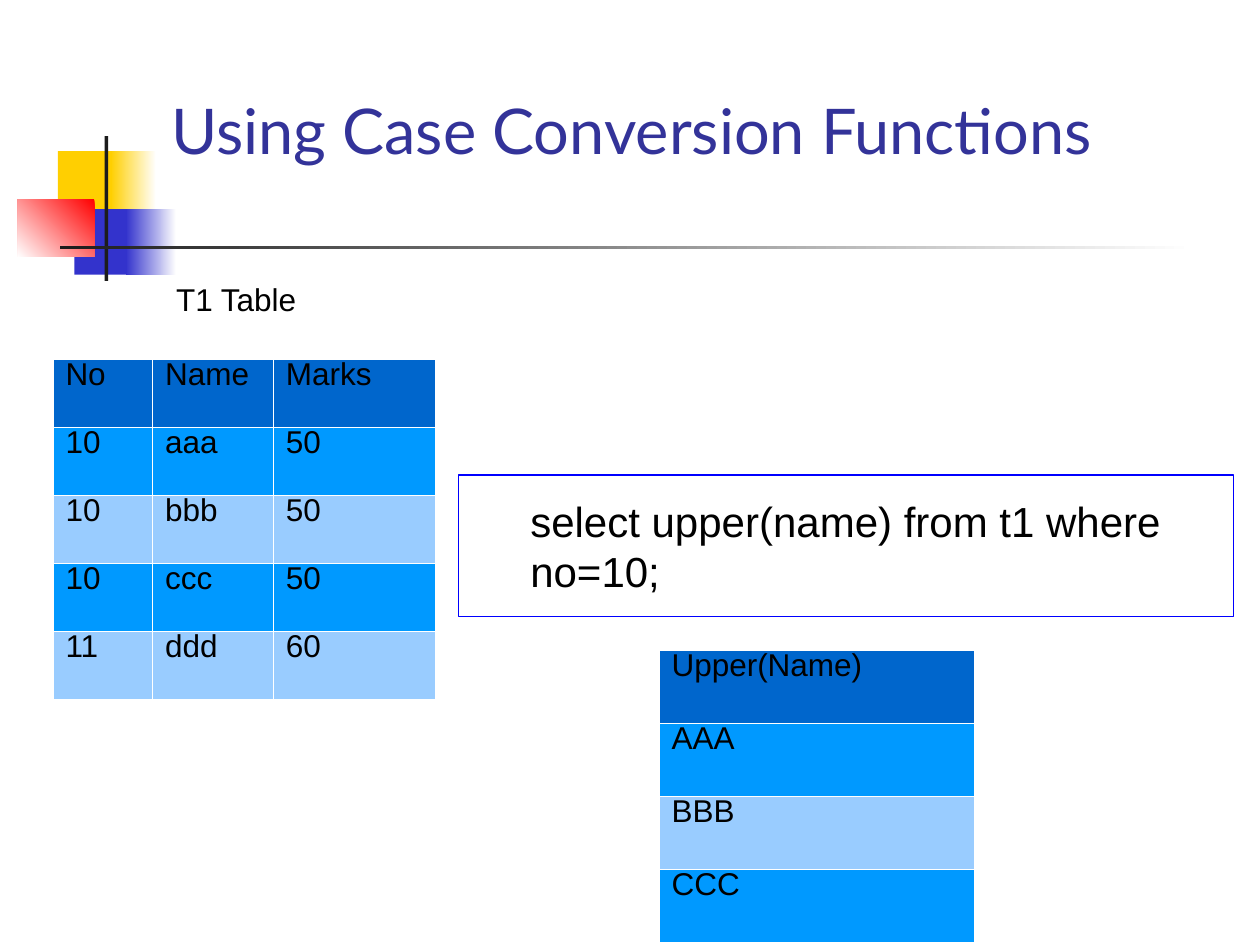
from lxml import etree
from pptx import Presentation
from pptx.dml.color import RGBColor
from pptx.enum.shapes import MSO_SHAPE
from pptx.enum.text import MSO_ANCHOR, PP_ALIGN
from pptx.oxml.ns import qn
from pptx.util import Emu, Pt

RECT, ROUNDED = MSO_SHAPE.RECTANGLE, MSO_SHAPE.ROUNDED_RECTANGLE
LEFT, CENTER, MIDDLE = PP_ALIGN.LEFT, PP_ALIGN.CENTER, MSO_ANCHOR.MIDDLE
EMU_PER_PX = 9144  # 100 px to the inch
COLORS = {
    "white": "FFFFFF", "black": "000000", "ink": "1C1C1C", "title": "333399",
    "yellow": "FFCF01", "blue": "3333CC", "red": "FF0000", "frame": "0000FF",
    "header": "0066CC", "odd": "0099FF", "even": "99CCFF",
}


def px(n):
    return Emu(n * EMU_PER_PX)


def rgb(name):
    return RGBColor.from_string(COLORS[name])


class Deck:
    def __init__(self, width, height):
        self.prs = Presentation()
        self.prs.slide_width, self.prs.slide_height = px(width), px(height)
        self.s = self.prs.slides.add_slide(self.prs.slide_layouts[5])

    def add_text(self, p, text, size, font="Arial", color="black", align=LEFT):
        p.alignment = align
        r = p.add_run()
        r.text = text
        r.font.size, r.font.name = Pt(size), font
        r.font.color.rgb = rgb(color)

    def title(self, box, text):
        sp = self.s.shapes.title
        sp.left, sp.top, sp.width, sp.height = map(px, box)
        tf = sp.text_frame
        tf.vertical_anchor = MIDDLE
        self.add_text(tf.paragraphs[0], text, 36, "Lato", "title")

    def shape(self, kind, box, fill):
        sp = self.s.shapes.add_shape(kind, *map(px, box))
        sp.shadow.inherit = False
        sp.fill.solid()
        sp.fill.fore_color.rgb = rgb(fill)
        sp.line.fill.background()
        return sp

    def fade(self, box, start, end, angle):
        """Rectangle with a two-colour gradient; angle is counter-clockwise."""
        sp = self.shape(RECT, box, start)
        sp.fill.gradient()
        sp.fill.gradient_angle = angle
        for stop, color, pos in zip(sp.fill.gradient_stops, (start, end), (0, 1)):
            stop.color.rgb = rgb(color)
            stop.position = pos

    def label(self, box, text, size, line, corner, align=LEFT, indent=0):
        sp = self.shape(ROUNDED, box, "white")
        sp.adjustments[0] = corner
        sp.line.color.rgb = rgb(line)
        sp.line.width = Pt(0.75)
        tf = sp.text_frame
        tf.word_wrap, tf.vertical_anchor = True, MIDDLE
        p = tf.paragraphs[0]
        p._p.get_or_add_pPr().set("marL", str(px(indent)))
        self.add_text(p, text, size, align=align)

    def borders(self, cell):
        tcPr = cell._tc.get_or_add_tcPr()
        for i, side in enumerate(("lnL", "lnR", "lnT", "lnB")):
            ln = etree.Element(qn("a:" + side), w=str(Pt(0.06)))
            fill = etree.SubElement(ln, qn("a:solidFill"))
            etree.SubElement(fill, qn("a:srgbClr"), val=COLORS["white"])
            tcPr.insert(i, ln)

    def table(self, left, top, widths, row_height, rows):
        box = left, top, sum(widths), row_height * len(rows)
        table = self.s.shapes.add_table(len(rows), len(widths), *map(px, box)).table
        for column, width in zip(table.columns, widths):
            column.width = px(width)
        for i, row in enumerate(rows):
            fill = "header" if i == 0 else "odd" if i % 2 else "even"
            for j, text in enumerate(row):
                cell = table.cell(i, j)
                cell.fill.solid()
                cell.fill.fore_color.rgb = rgb(fill)
                self.borders(cell)
                p = cell.text_frame.paragraphs[0]
                p.line_spacing = 0.71
                self.add_text(p, text, 18)


def main():
    d = Deck(1000, 750)
    d.shape(RECT, (46, 120, 48, 52), "yellow")
    d.fade((88, 120, 36, 52), "white", "yellow", 180)
    d.shape(RECT, (59, 166, 46, 52), "blue")
    d.fade((100, 166, 40, 52), "white", "blue", 180)
    d.fade((14, 158, 61, 46), "red", "white", 225)
    d.shape(RECT, (83, 108, 3, 115), "ink")
    d.fade((48, 195, 900, 3), "white", "ink", 180)

    d.title((126, 23, 852, 160), "Using Case Conversion Functions")
    d.table(42, 285, (79, 96, 128), 54, [
        ("No", "Name", "Marks"),
        ("10", "aaa", "50"),
        ("10", "bbb", "50"),
        ("10", "ccc", "50"),
        ("11", "ddd", "60"),
    ])
    d.label((125, 225, 125, 25), "T1 Table", 18, "white", 0.01, CENTER)
    d.label((364, 377, 615, 112), "select upper(name) from t1 where no=10;",
            24, "frame", 0, indent=47)
    d.table(523, 516, (250,), 58, [("Upper(Name)",), ("AAA",), ("BBB",), ("CCC",)])
    d.prs.save("out.pptx")


if __name__ == "__main__":
    main()
